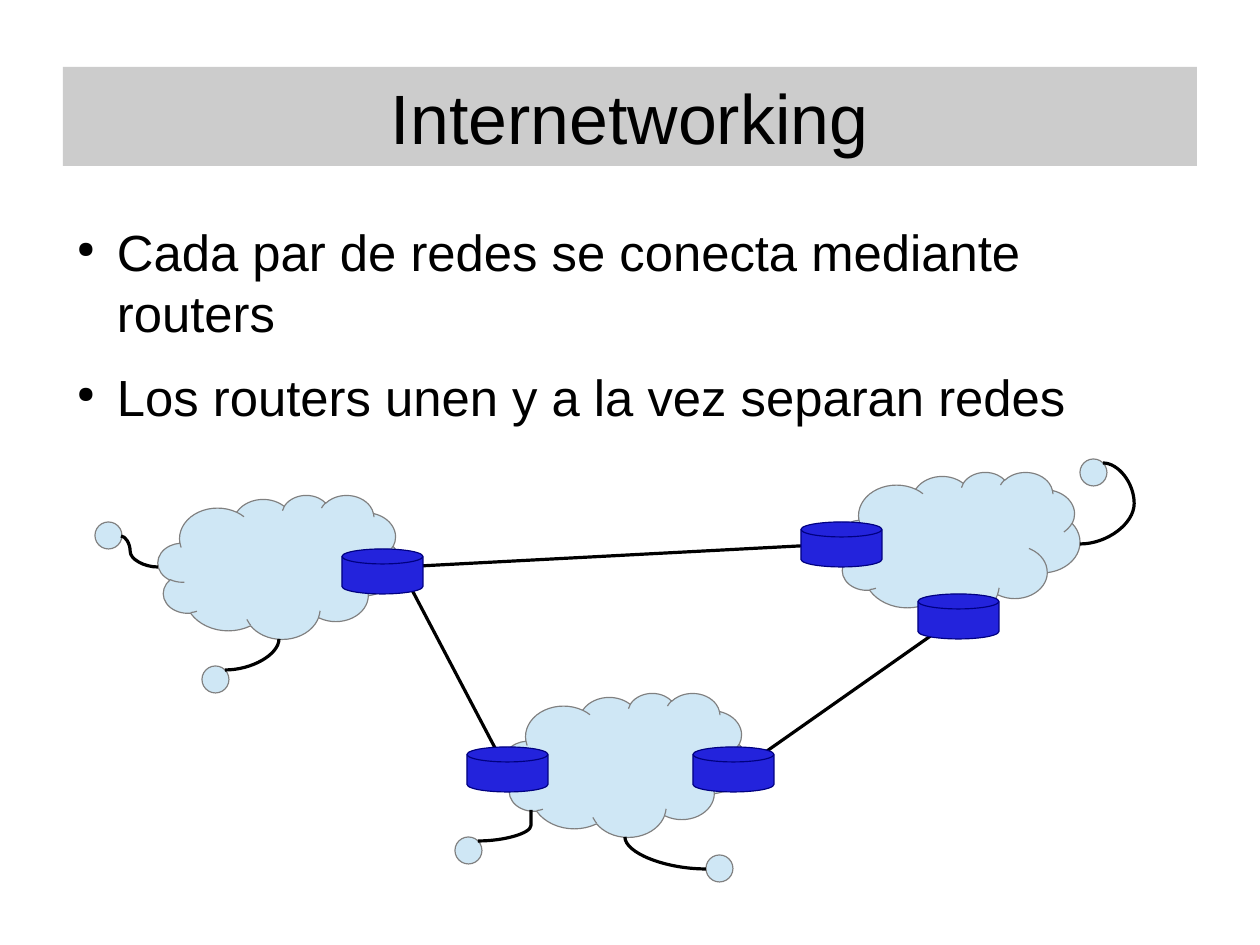
from lxml.etree import SubElement
from pptx import Presentation
from pptx.dml.color import RGBColor
from pptx.enum.shapes import MSO_CONNECTOR, MSO_SHAPE
from pptx.enum.text import MSO_ANCHOR, PP_ALIGN
from pptx.oxml.ns import qn
from pptx.util import Pt

EMU_PER_PX = 8000
FONT = "Arial"
COLORS = {
    "banner": "CCCCCC",
    "text": "000000",
    "network": "CFE7F5",
    "network_line": "808080",
    "router": "2323DC",
    "router_line": "000080",
    "link": "000000",
}


def px(value):
    return value * EMU_PER_PX


def color(name):
    return RGBColor.from_string(COLORS[name])


class SlideBuilder:
    def __init__(self, slide):
        self.shapes = slide.shapes

    def shape(self, kind, left, top, width, height, fill, line=None):
        shape = self.shapes.add_shape(kind, px(left), px(top), px(width), px(height))
        shape.shadow.inherit = False
        shape.fill.solid()
        shape.fill.fore_color.rgb = color(fill)
        if line:
            shape.line.color.rgb = color(line)
            shape.line.width = 0
        else:
            shape.line.fill.background()
        return shape

    def cloud(self, left, top):
        self.shape(MSO_SHAPE.CLOUD, left, top, 243, 144, "network", "network_line")

    def host(self, left, top):
        self.shape(MSO_SHAPE.OVAL, left, top, 27, 27, "network", "network_line")

    def router(self, left, top):
        self.shape(MSO_SHAPE.FLOWCHART_MAGNETIC_DISK, left, top, 81, 45,
                   "router", "router_line")

    def link(self, start, end, kind=MSO_CONNECTOR.STRAIGHT):
        connector = self.shapes.add_connector(kind, *map(px, start + end))
        connector.line.color.rgb = color("link")
        connector.line.width = 0
        SubElement(connector._element.spPr, qn("a:effectLst"))
        return connector

    def curve(self, start, end, bend=None):
        """Draw an S curve with its bend in percent, or a quarter arc without one."""
        connector = self.link(start, end, MSO_CONNECTOR.CURVE)
        geometry = connector._element.spPr.find(qn("a:prstGeom"))
        if bend is None:
            geometry.set("prst", "curvedConnector2")
        else:
            guide = SubElement(geometry.find(qn("a:avLst")), qn("a:gd"))
            guide.set("name", "adj1")
            guide.set("fmla", f"val {bend * 1000}")

    def text(self, left, top, width, height, lines, size, anchor, align, bullet=False):
        box = self.shapes.add_textbox(px(left), px(top), px(width), px(height))
        frame = box.text_frame
        frame.word_wrap = True
        frame.vertical_anchor = anchor
        frame.margin_left = frame.margin_right = 0
        frame.margin_top = frame.margin_bottom = 0
        for index, line in enumerate(lines):
            paragraph = frame.add_paragraph() if index else frame.paragraphs[0]
            paragraph.alignment = align
            if bullet:
                paragraph.space_after = Pt(14.2)
                self.bullet(paragraph)
            run = paragraph.add_run()
            run.text = line
            run.font.name = FONT
            run.font.size = Pt(size)
            run.font.color.rgb = color("text")

    def bullet(self, paragraph):
        properties = paragraph._p.get_or_add_pPr()
        properties.set("marL", str(px(54)))
        properties.set("indent", str(px(-40)))
        bullet_color = SubElement(properties, qn("a:buClr"))
        SubElement(bullet_color, qn("a:srgbClr")).set("val", COLORS["text"])
        SubElement(properties, qn("a:buSzPct")).set("val", "45000")
        SubElement(properties, qn("a:buChar")).set("char", "●")


def main():
    presentation = Presentation()
    presentation.slide_width = px(1260)
    presentation.slide_height = px(945)
    builder = SlideBuilder(presentation.slides.add_slide(presentation.slide_layouts[6]))

    # Title banner
    builder.shape(MSO_SHAPE.RECTANGLE, 63, 67, 1134, 99, "banner")
    builder.text(63, 38, 1134, 158, ["Internetworking"], 44,
                 MSO_ANCHOR.MIDDLE, PP_ALIGN.CENTER)

    # Networks and their hosts
    for position in [(158, 495), (504, 693), (837, 472)]:
        builder.cloud(*position)
    for position in [(95, 522), (202, 666), (455, 837), (1080, 459), (706, 855)]:
        builder.host(*position)

    # Bulleted text
    builder.text(63, 221, 1109, 547,
                 ["Cada par de redes se conecta mediante routers",
                  "Los routers unen y a la vez separan redes"],
                 32, MSO_ANCHOR.TOP, PP_ALIGN.LEFT, bullet=True)

    # Curved links from hosts to networks
    builder.curve((225, 670), (279, 639))
    builder.curve((121, 536), (158, 567), bend=25)
    builder.curve((478, 841), (531, 810), bend=100)
    builder.curve((1103, 463), (1080, 544), bend=-136)
    builder.curve((706, 869), (625, 837))

    # Straight links between networks
    builder.link((400, 567), (837, 544))
    builder.link((400, 567), (504, 765))
    builder.link((747, 765), (959, 616))

    # Routers on top of the link ends
    for position in [(342, 549), (467, 747), (801, 522), (693, 747), (918, 594)]:
        builder.router(*position)

    presentation.save("out.pptx")


if __name__ == "__main__":
    main()
